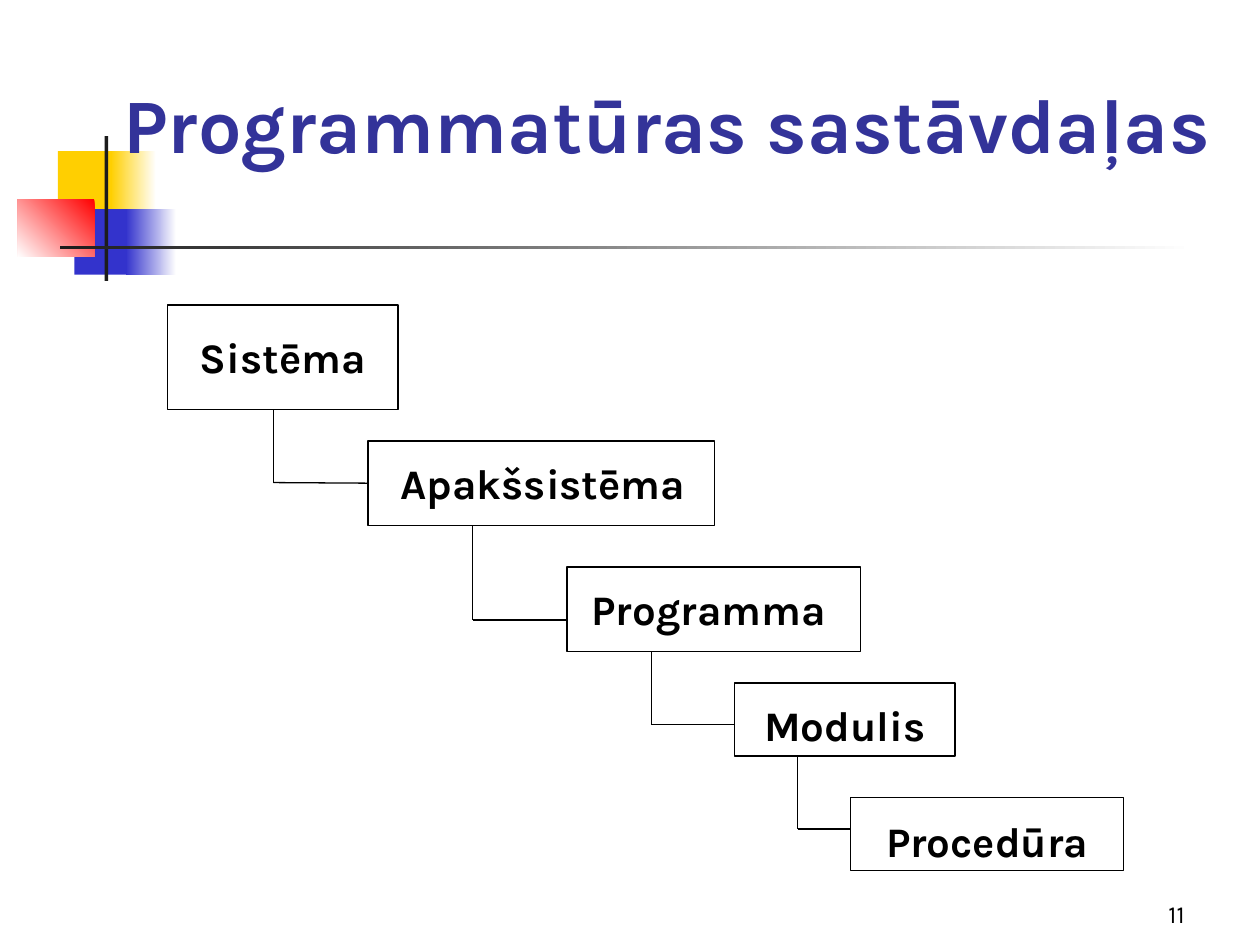
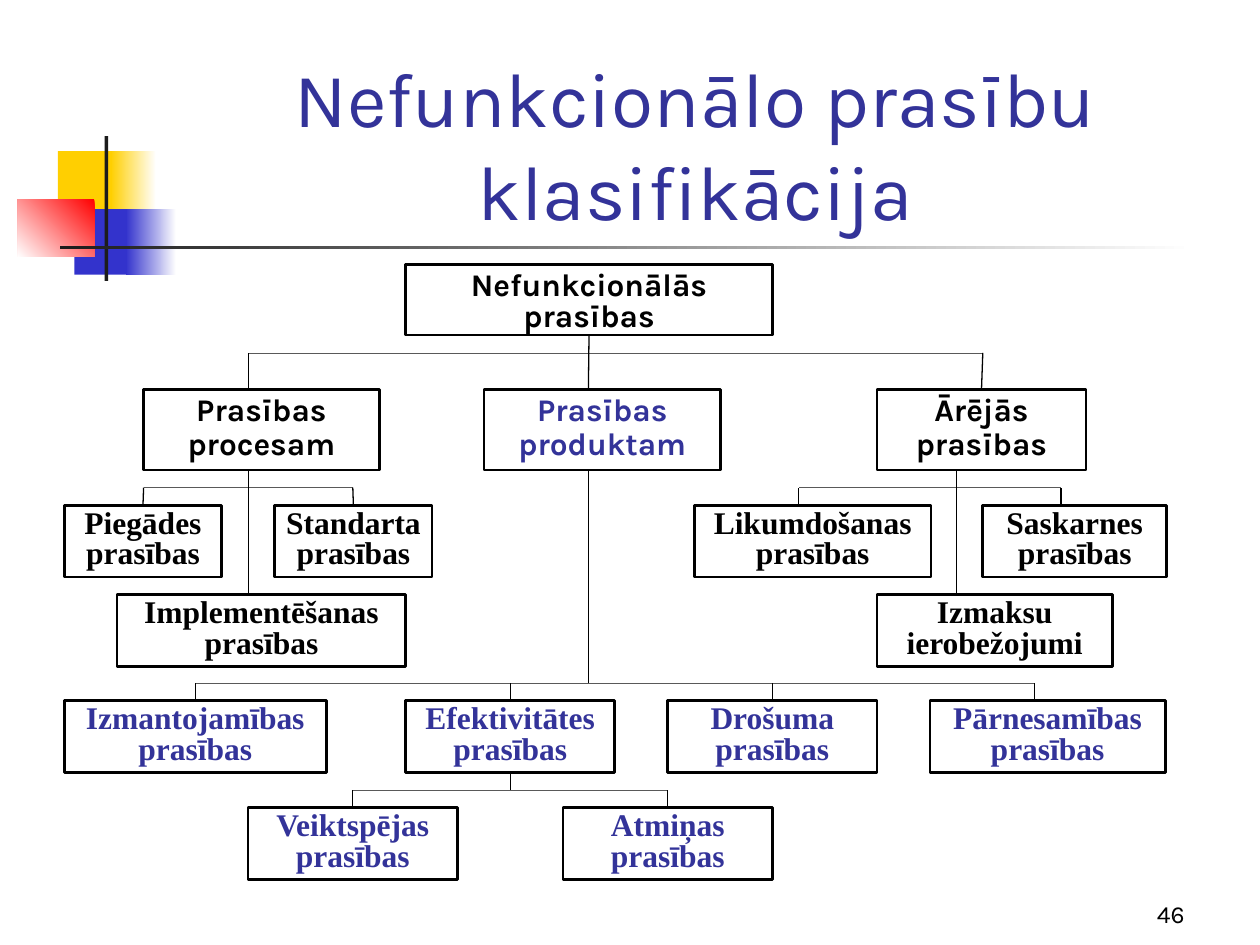
from dataclasses import dataclass

from lxml import etree
from pptx import Presentation
from pptx import util as u
from pptx.dml.color import RGBColor
from pptx.enum import shapes, text
from pptx.oxml import ns


@dataclass(frozen=True)
class Theme:
    font: str = "Karla"
    leaf_font: str = "Times New Roman"
    title_size: int = 44
    step_size: int = 24
    node_size: int = 18
    number_size: int = 14
    black: str = "000000"
    white: str = "FFFFFF"
    indigo: str = "333399"
    grey: str = "595959"
    yellow: str = "FFCF01"
    blue: str = "3333CC"
    red: str = "FF0000"
    ink: str = "1C1C1C"


THEME = Theme()

# Shared decoration: box, colours (one is solid, two a gradient), angle
DECORATION = [
    ((0.46, 1.2, 0.48, 0.52), [THEME.yellow], None),
    ((0.88, 1.2, 0.36, 0.52), [THEME.white, THEME.yellow], 180),
    ((0.59, 1.66, 0.46, 0.52), [THEME.blue], None),
    ((1, 1.66, 0.4, 0.52), [THEME.white, THEME.blue], 180),
    ((0.14, 1.58, 0.61, 0.46), [THEME.red, THEME.white], 225),
    ((0.83, 1.08, 0.03, 1.15), [THEME.ink], None),
    ((0.48, 1.95, 9, 0.03), [THEME.white, THEME.ink], 180),
]
NUMBER_BOX = (7.42, 6.92, 2.08, 0.5)

# Software levels: label, frame, label box, alignment
STEPS = [
    ("Sistēma", (1.33, 2.42, 1.83, 0.83), (1.33, 2.58, 1.83, 0.5), "CENTER"),
    ("Apakšsistēma", (2.92, 3.5, 2.75, 0.67), (3.08, 3.58, 2.67, 0.5), "LEFT"),
    ("Programma", (4.5, 4.5, 2.33, 0.67), (4.5, 4.58, 2.25, 0.5), "CENTER"),
    ("Modulis", (5.83, 5.42, 1.75, 0.58), (5.83, 5.5, 1.75, 0.5), "CENTER"),
    ("Procedūra", (6.75, 6.33, 2.17, 0.58), (6.75, 6.42, 2.17, 0.5), "CENTER"),
]
# Elbow corner between each level and the next
CORNERS = [(2.17, 3.83), (3.75, 4.92), (5.17, 5.75), (6.33, 6.58)]

# Requirement groups: label, box, colour, spacing of the two lines
GROUPS = [
    ("Nefunkcionālās\nprasības", (3.22, 2.1, 2.91, 0.56), THEME.black, (0.9, 0.8)),
    ("Prasības\nprocesam", (1.14, 3.09, 1.87, 0.64), THEME.black, (0.9, 0.9)),
    ("Prasības\nproduktam", (3.84, 3.09, 1.88, 0.64), THEME.indigo, (0.9, 0.9)),
    ("Ārējās\nprasības", (6.96, 3.09, 1.66, 0.64), THEME.black, (0.9, 0.9)),
]

# Requirement rows: top, colour, then label, left, width
LEAF_HEIGHT = 0.57
LEAF_ROWS = [
    (4.01, THEME.black, [
        ("Piegādes prasības", 0.51, 1.25),
        ("Standarta prasības", 2.18, 1.25),
        ("Likumdošanas prasības", 5.51, 1.88),
        ("Saskarnes prasības", 7.8, 1.46),
    ]),
    (4.72, THEME.black, [
        ("Implementēšanas prasības", 0.93, 2.29),
        ("Izmaksu ierobežojumi", 6.96, 1.87),
    ]),
    (5.56, THEME.indigo, [
        ("Izmantojamības prasības", 0.51, 2.08),
        ("Efektivitātes prasības", 3.22, 1.66),
        ("Drošuma prasības", 5.3, 1.66),
        ("Pārnesamības\nprasības", 7.38, 1.87),
    ]),
    (6.41, THEME.indigo, [
        ("Veiktspējas prasības", 1.97, 1.66),
        ("Atmiņas prasības", 4.47, 1.66),
    ]),
]

# Branches: trunk x, trunk top, trunk bottom, bar y, drop positions, drop bottom
BRANCHES = [
    (4.67, 2.66, 3.09, 2.8, (1.97, 7.8), 3.09),
    (1.97, 3.73, 4.72, 3.87, (1.14, 2.8), 4.01),
    (7.59, 3.73, 4.72, 3.87, (6.34, 8.42), 4.01),
    (4.67, 3.73, 5.42, 5.42, (1.55, 4.05, 6.13, 8.21), 5.56),
    (4.05, 6.13, 6.27, 6.27, (2.8, 5.3), 6.41),
]


def inches(values):
    return [u.Inches(value) for value in values]


def write(shape, content, size, font=THEME.font, color=THEME.black, bold=False,
          align="CENTER", anchor="TOP", inset=(0.1, 0.05), spacing=()):
    frame = shape.text_frame
    frame.word_wrap = True
    frame.vertical_anchor = getattr(text.MSO_ANCHOR, anchor)
    frame.margin_left = frame.margin_right = u.Inches(inset[0])
    frame.margin_top = frame.margin_bottom = u.Inches(inset[1])
    for index, line in enumerate(content.split("\n")):
        paragraph = frame.add_paragraph() if index else frame.paragraphs[0]
        paragraph.alignment = getattr(text.PP_ALIGN, align)
        if spacing:
            paragraph.line_spacing = spacing[index]
        run = paragraph.add_run()
        run.text = line
        run.font.name = font
        run.font.size = u.Pt(size)
        run.font.bold = bold
        run.font.color.rgb = RGBColor.from_string(color)


def add_label(slide, content, box, size, **style):
    write(slide.shapes.add_textbox(*inches(box)), content, size, **style)


def add_box(slide, box, fill=None, line_width=None):
    shape = slide.shapes.add_shape(shapes.MSO_SHAPE.RECTANGLE, *inches(box))
    shape.shadow.inherit = False
    if fill:
        shape.fill.solid()
        shape.fill.fore_color.rgb = RGBColor.from_string(fill)
    else:
        shape.fill.background()
    if line_width:
        shape.line.color.rgb = RGBColor.from_string(THEME.black)
        shape.line.width = u.Pt(line_width)
    else:
        shape.line.fill.background()
    return shape


def find_site(boxes, x, y):
    """Return the box and side whose middle lies at the given point."""
    near = u.Inches(0.015)
    for box in boxes:
        middle_x, middle_y = box.left + box.width // 2, box.top + box.height // 2
        sites = [(middle_x, box.top), (box.left, middle_y),
                 (middle_x, box.top + box.height), (box.left + box.width, middle_y)]
        for side, (site_x, site_y) in enumerate(sites):
            if abs(site_x - x) < near and abs(site_y - y) < near:
                return box, side
    return None


def add_line(slide, start, end, boxes=(), color=THEME.black, width=0.75):
    begin, finish = inches(start), inches(end)
    line = slide.shapes.add_connector(shapes.MSO_CONNECTOR.STRAIGHT, *begin, *finish)
    line.line.color.rgb = RGBColor.from_string(color)
    line.line.width = u.Pt(width)
    etree.SubElement(line._element.spPr, ns.qn("a:effectLst"))
    for point, connect in ((begin, line.begin_connect), (finish, line.end_connect)):
        site = find_site(boxes, *point)
        if site:
            connect(*site)


def add_base(presentation, title, title_box, number, bold=False):
    slide = presentation.slides.add_slide(presentation.slide_layouts[6])
    for box, colors, angle in DECORATION:
        shape = add_box(slide, box, colors[0])
        if angle is not None:
            shape.fill.gradient()
            shape.fill.gradient_angle = angle
            for stop, color in zip(shape.fill.gradient_stops, colors):
                stop.color.rgb = RGBColor.from_string(color)
    add_label(slide, title, title_box, THEME.title_size, color=THEME.indigo,
              bold=bold, anchor="BOTTOM")
    add_label(slide, number, NUMBER_BOX, THEME.number_size, align="RIGHT",
              anchor="BOTTOM")
    return slide


def build_components(presentation):
    slide = add_base(presentation, "Programmatūras sastāvdaļas",
                     (0.59, 0.68, 9.41, 0.71), "11", bold=True)
    boxes = []
    for label, frame, label_box, align in STEPS:
        boxes.append(add_box(slide, frame, line_width=0.75))
        add_label(slide, label, label_box, THEME.step_size, bold=True, align=align)
    # Elbows run down from one level and right to the next
    for (x, y), upper, lower in zip(CORNERS, STEPS, STEPS[1:]):
        upper_bottom = upper[1][1] + upper[1][3]
        add_line(slide, (x, upper_bottom), (x, y), boxes)
        add_line(slide, (x, y), (lower[1][0], y), boxes)


def build_requirements(presentation):
    slide = add_base(presentation, "Nefunkcionālo prasību klasifikācija",
                     (1.26, 0.67, 8.52, 1.25), "46")
    # Bars lie behind the boxes
    for *_, bar, drops, _ in BRANCHES:
        add_line(slide, (drops[0], bar), (drops[-1], bar), color=THEME.grey, width=0.25)

    boxes = []
    for label, box, color, spacing in GROUPS:
        boxes.append(add_box(slide, box, THEME.white, 1.5))
        write(boxes[-1], label, THEME.node_size, color=color, bold=True,
              inset=(0.1, 0.04), spacing=spacing)
    for top, color, leaves in LEAF_ROWS:
        for label, left, width in leaves:
            boxes.append(add_box(slide, (left, top, width, LEAF_HEIGHT), THEME.white, 1.5))
            write(boxes[-1], label, THEME.node_size, font=THEME.leaf_font, color=color,
                  bold=True, inset=(0.02, 0.04), spacing=(0.8, 0.8))

    # Trunks and drops
    for trunk, top, bottom, bar, drops, drop_bottom in BRANCHES:
        add_line(slide, (trunk, top), (trunk, bottom), boxes)
        for x in drops:
            add_line(slide, (x, drop_bottom), (x, bar), boxes)


def main():
    presentation = Presentation()
    presentation.slide_width = u.Inches(10)
    presentation.slide_height = u.Inches(7.5)
    build_components(presentation)
    build_requirements(presentation)
    presentation.save("out.pptx")


if __name__ == "__main__":
    main()
